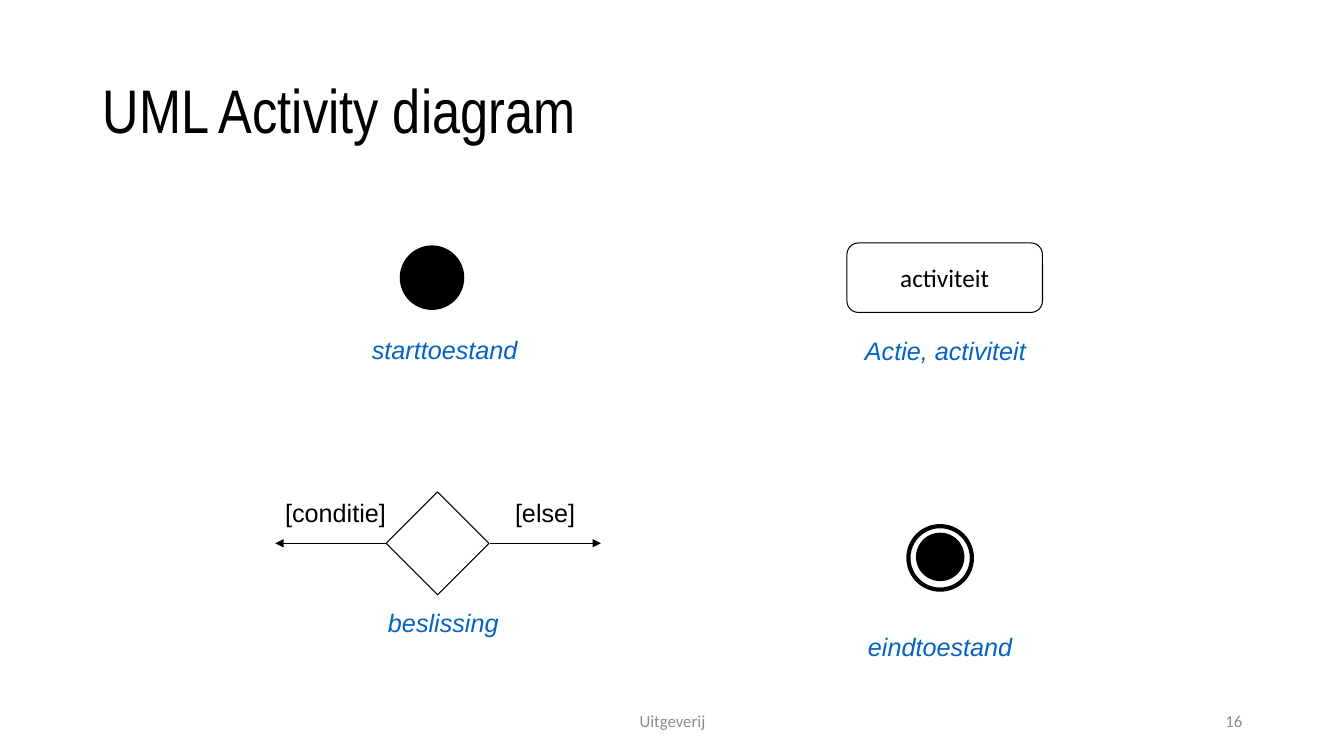
from dataclasses import dataclass

import lxml.etree
import pptx
import pptx.dml.color
import pptx.enum.shapes
import pptx.enum.text
import pptx.oxml.ns
import pptx.shapes.base
import pptx.slide
import pptx.text.text
import pptx.util

Inches = pptx.util.Inches
Align = pptx.enum.text.PP_ALIGN
Anchor = pptx.enum.text.MSO_ANCHOR
AutoSize = pptx.enum.text.MSO_AUTO_SIZE
Preset = pptx.enum.shapes.MSO_SHAPE

BLACK = "000000"
WHITE = "FFFFFF"
GREY = "8C8C8C"
BLUE = "0563C1"
THIN = 0.75
LABEL_HEIGHT = 0.4
DECISION_Y = 5.39


@dataclass
class Label:
    text: str
    left: float
    top: float
    width: float
    color: str = BLUE
    italic: bool = True


@dataclass
class Footer:
    text: str
    left: float
    width: float
    align: Align


@dataclass
class Symbol:
    preset: Preset
    left: float
    top: float
    width: float
    height: float
    fill: str = WHITE
    line_width: float = THIN
    text: str = ""


@dataclass
class Arrow:
    start_x: float
    end_x: float


LABELS = [
    Label("starttoestand", 3.59, 3.27, 1.65),
    Label("eindtoestand", 8.51, 6.21, 1.63),
    Label("Actie, activiteit", 8.48, 3.28, 1.8),
    Label("beslissing", 3.75, 5.98, 1.3),
    Label("[else]", 5.01, 4.88, 0.8, BLACK, False),
    Label("[conditie]", 2.73, 4.88, 1.2, BLACK, False),
]
FOOTERS = [
    Footer("Uitgeverij", 4.42, 4.5, Align.CENTER),
    Footer("16", 9.42, 3, Align.RIGHT),
]
SYMBOLS = [
    Symbol(Preset.OVAL, 3.97, 2.44, 0.63, 0.63, BLACK),
    Symbol(Preset.OVAL, 9.01, 5.22, 0.63, 0.63, WHITE, 3),
    Symbol(Preset.OVAL, 9.09, 5.29, 0.47, 0.47, BLACK),
    Symbol(Preset.ROUNDED_RECTANGLE, 8.4, 2.41, 1.94, 0.69, text="activiteit"),
    Symbol(Preset.DIAMOND, 3.83, 4.88, 1.02, 1.02),
]
ARROWS = [Arrow(4.86, 5.96), Arrow(3.83, 2.73)]


def rgb(color: str) -> pptx.dml.color.RGBColor:
    return pptx.dml.color.RGBColor.from_string(color)


def add_run(paragraph: pptx.text.text._Paragraph, text: str, size: float,
            font_name: str, color: str, italic: bool = False) -> None:
    run = paragraph.add_run()
    run.text = text
    run.font.size = pptx.util.Pt(size)
    run.font.name = font_name
    run.font.color.rgb = rgb(color)
    run.font.italic = italic


def add_title(slide: pptx.slide.Slide, text: str) -> None:
    title = slide.shapes.title
    title.left, title.top = Inches(0.92), Inches(0.4)
    title.width, title.height = Inches(11.5), Inches(1.45)
    frame = title.text_frame
    frame.auto_size = AutoSize.NONE
    frame.vertical_anchor = Anchor.MIDDLE
    paragraph = frame.paragraphs[0]
    paragraph.alignment = Align.LEFT
    paragraph.line_spacing = 0.9
    add_run(paragraph, text, 44, "Arial Narrow", BLACK)


def add_label(slide: pptx.slide.Slide, label: Label) -> None:
    box = slide.shapes.add_textbox(Inches(label.left), Inches(label.top),
                                   Inches(label.width), Inches(LABEL_HEIGHT))
    frame = box.text_frame
    frame.word_wrap = False
    frame.auto_size = AutoSize.SHAPE_TO_FIT_TEXT
    add_run(frame.paragraphs[0], label.text, 18, "Arial", label.color, label.italic)


def add_footer(slide: pptx.slide.Slide, footer: Footer) -> None:
    box = slide.shapes.add_textbox(Inches(footer.left), Inches(6.95),
                                   Inches(footer.width), Inches(0.4))
    frame = box.text_frame
    frame.word_wrap = True
    frame.vertical_anchor = Anchor.MIDDLE
    paragraph = frame.paragraphs[0]
    paragraph.alignment = footer.align
    add_run(paragraph, footer.text, 12, "Calibri", GREY)


def add_symbol(slide: pptx.slide.Slide, symbol: Symbol) -> None:
    shape = slide.shapes.add_shape(symbol.preset, Inches(symbol.left), Inches(symbol.top),
                                   Inches(symbol.width), Inches(symbol.height))
    shape.shadow.inherit = False
    shape.fill.solid()
    shape.fill.fore_color.rgb = rgb(symbol.fill)
    shape.line.color.rgb = rgb(BLACK)
    shape.line.width = pptx.util.Pt(symbol.line_width)
    if symbol.text:
        frame = shape.text_frame
        frame.word_wrap = False
        frame.vertical_anchor = Anchor.MIDDLE
        paragraph = frame.paragraphs[0]
        paragraph.alignment = Align.CENTER
        add_run(paragraph, symbol.text, 18, "Calibri", BLACK)


def add_arrow(slide: pptx.slide.Slide, arrow: Arrow) -> None:
    connector = slide.shapes.add_connector(
        pptx.enum.shapes.MSO_CONNECTOR.STRAIGHT,
        Inches(arrow.start_x), Inches(DECISION_Y), Inches(arrow.end_x), Inches(DECISION_Y))
    connector.line.color.rgb = rgb(BLACK)
    connector.line.width = pptx.util.Pt(THIN)
    properties = connector._element.spPr
    line = properties.find(pptx.oxml.ns.qn("a:ln"))
    lxml.etree.SubElement(line, pptx.oxml.ns.qn("a:tailEnd"), type="triangle")
    lxml.etree.SubElement(properties, pptx.oxml.ns.qn("a:effectLst"))


def main() -> None:
    presentation = pptx.Presentation()
    presentation.slide_width = Inches(13.33)
    presentation.slide_height = Inches(7.5)
    slide = presentation.slides.add_slide(presentation.slide_layouts[5])
    add_title(slide, "UML Activity diagram")
    for footer in FOOTERS:
        add_footer(slide, footer)
    for symbol in SYMBOLS:
        add_symbol(slide, symbol)
    for arrow in ARROWS:
        add_arrow(slide, arrow)
    for label in LABELS:
        add_label(slide, label)
    presentation.save("out.pptx")


if __name__ == "__main__":
    main()
